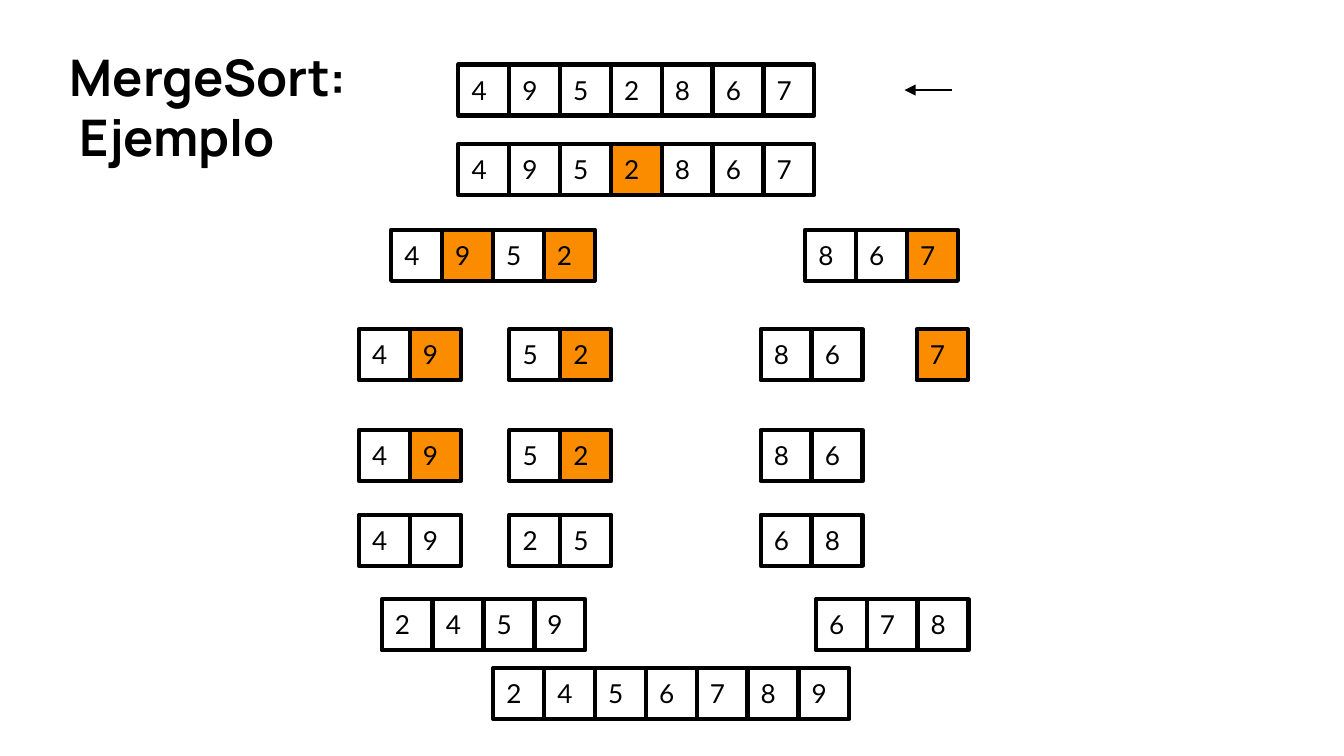
from pptx import Presentation
from pptx.dml.color import RGBColor
from pptx.enum.shapes import MSO_CONNECTOR, MSO_SHAPE
from pptx.enum.text import MSO_ANCHOR, MSO_AUTO_SIZE
from pptx.oxml.ns import qn
from pptx.util import Inches, Pt
from lxml import etree

RECT = MSO_SHAPE.RECTANGLE
STRAIGHT = MSO_CONNECTOR.STRAIGHT
TOP = MSO_ANCHOR.TOP
GROW = MSO_AUTO_SIZE.SHAPE_TO_FIT_TEXT

COLORS = {"ink": "000000", "pivot": "FB8C00"}
INK = RGBColor.from_string(COLORS["ink"])
PIVOT = RGBColor.from_string(COLORS["pivot"])
CELL = 0.38
PITCH = 2.27 / 6  # seven cells span six steps

prs = Presentation()
prs.slide_width = Inches(10)
prs.slide_height = prs.slide_width * 9 // 16
s = prs.slides.add_slide(prs.slide_layouts[6])


def add_text(lines, x, y, w, h, font, size, bold=False):
    box = s.shapes.add_textbox(Inches(x), Inches(y), Inches(w), Inches(h))
    tf = box.text_frame
    tf.word_wrap = True
    tf.vertical_anchor = TOP
    tf.margin_left = tf.margin_right = Inches(0.1)
    tf.margin_top = tf.margin_bottom = Inches(0.1)
    tf.text = "\n".join(lines)
    for p in tf.paragraphs:
        p.font.name, p.font.size, p.font.bold = font, Pt(size), bold
        p.font.color.rgb = INK
    return tf


def add_cell(digit, x, y, is_pivot):
    sp = s.shapes.add_shape(RECT, Inches(x), Inches(y), Inches(CELL), Inches(CELL))
    sp.shadow.inherit = False
    if is_pivot:
        sp.fill.solid()
        sp.fill.fore_color.rgb = PIVOT
    else:
        sp.fill.background()
    sp.line.color.rgb = INK
    sp.line.width = Pt(2.25)
    tf = add_text([digit], x, y - 0.03, CELL, 0.44, "Lato", 14)
    tf.auto_size = GROW


# Title
add_text(["MergeSort:", " Ejemplo"], 0.42, 0.24, 2.55, 1.1, "Manrope", 27, True)

# Arrays by row: top, then (left, digits, positions of highlighted cells)
ROWS = [
    (0.48, [(3.41, "4952867", ())]),
    (1.07, [(3.41, "4952867", (3,))]),
    (1.71, [(2.91, "4952", (1, 3)), (5.99, "867", (2,))]),
    (2.45, [(2.67, "49", (1,)), (3.79, "52", (1,)), (5.66, "86", ()), (6.82, "7", (0,))]),
    (3.20, [(2.67, "49", (1,)), (3.79, "52", (1,)), (5.66, "86", ())]),
    (3.83, [(2.67, "49", ()), (3.79, "25", ()), (5.66, "68", ())]),
    (4.46, [(2.84, "2459", ()), (6.07, "678", ())]),
    (4.97, [(3.67, "2456789", ())]),
]
for y, arrays in ROWS:
    for x, digits, pivots in arrays:
        for i, digit in enumerate(digits):
            add_cell(digit, x + i * PITCH, y, i in pivots)

# Arrow at the current step
arrow = s.shapes.add_connector(STRAIGHT, Inches(7.08), Inches(0.67), Inches(6.73), Inches(0.67))
arrow.line.color.rgb = INK
arrow.line.width = Pt(0.75)
etree.SubElement(arrow.line._get_or_add_ln(), qn("a:tailEnd"), type="triangle")
etree.SubElement(arrow._element.spPr, qn("a:effectLst"))

prs.save("out.pptx")
